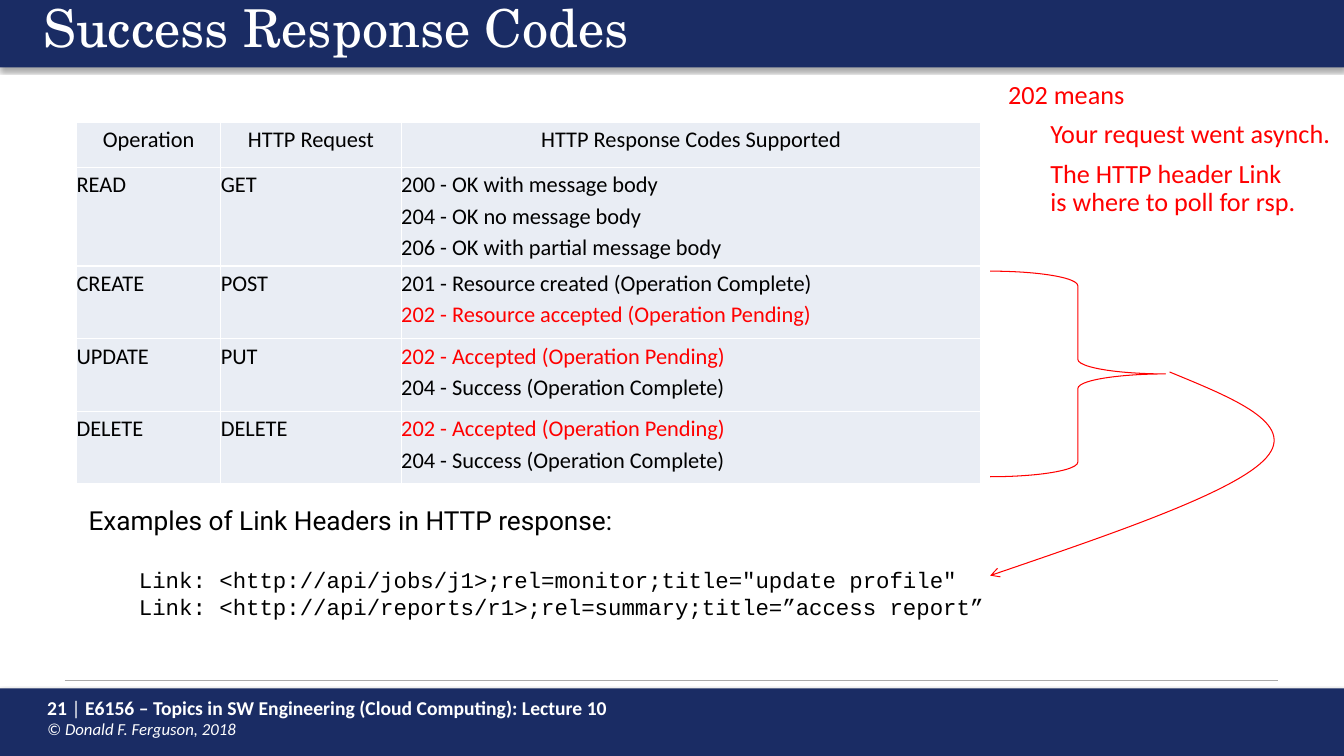
from lxml import etree
from pptx import Presentation
from pptx.dml.color import RGBColor
from pptx.enum.shapes import MSO_CONNECTOR as Connector, MSO_SHAPE as Shape
from pptx.enum.text import MSO_ANCHOR as Anchor, PP_ALIGN as Align
from pptx.oxml.ns import qn
from pptx.util import Inches, Pt

NAVY = RGBColor(0x1A, 0x2C, 0x64)
WHITE = RGBColor(0xFF, 0xFF, 0xFF)
BLACK = RGBColor(0, 0, 0)
RED = RGBColor(0xFF, 0, 0)
GREY = RGBColor(0xAA, 0xAA, 0xAA)
CELL_FILL = RGBColor(0xE9, 0xED, 0xF4)

COLUMN_WIDTHS = [1.43, 1.79, 5.75]
ROW_HEIGHTS = [0.45, 0.98, 0.72, 0.72, 0.72]
HEADINGS = ["Operation", "HTTP Request", "HTTP Response Codes Supported"]
OPERATIONS = [
    ("READ", "GET", ["200 - OK with message body", "204 - OK no message body",
                     "206 - OK with partial message body"]),
    ("CREATE", "POST", ["201 - Resource created (Operation Complete)",
                        "202 - Resource accepted (Operation Pending)"]),
    ("UPDATE", "PUT", ["202 - Accepted (Operation Pending)",
                       "204 - Success (Operation Complete)"]),
    ("DELETE", "DELETE", ["202 - Accepted (Operation Pending)",
                          "204 - Success (Operation Complete)"]),
]


def add_span(para, text, font="Calibri", size=16, color=BLACK, bold=False, italic=False):
    """Add text to a paragraph, with line breaks at newlines."""
    for index, line in enumerate(text.split("\n")):
        if index:
            para.add_line_break()
        if line:
            span = para.add_run()
            span.text = line
            span.font.name = font
            span.font.size = Pt(size)
            span.font.color.rgb = color
            span.font.bold = bold
            span.font.italic = italic


def add_para(frame, text="", first=False, align=Align.LEFT, spacing=1.0,
             before=0, indent=0, **style):
    para = frame.paragraphs[0] if first else frame.add_paragraph()
    para.alignment = align
    para.line_spacing = spacing
    para.space_before = Pt(before)
    if indent:
        para._p.get_or_add_pPr().set("marL", str(Inches(indent)))
    add_span(para, text, **style)
    return para


def add_text_box(page, left, top, width, height):
    box = page.shapes.add_textbox(Inches(left), Inches(top), Inches(width), Inches(height))
    frame = box.text_frame
    frame.word_wrap = True
    frame.vertical_anchor = Anchor.TOP
    return frame


def add_band(page, top):
    """Full-width bar with a soft shadow below it."""
    band = page.shapes.add_shape(Shape.RECTANGLE, 0, Inches(top), Inches(13.33), Inches(0.67))
    band.fill.solid()
    band.fill.fore_color.rgb = NAVY
    band.line.fill.background()
    band.shadow.inherit = False
    effects = band._element.spPr.find(qn("a:effectLst"))
    shadow = etree.SubElement(effects, qn("a:outerShdw"), blurRad=str(Pt(3.1)),
                              dist=str(Pt(1.8)), dir="5400000", rotWithShape="0")
    color = etree.SubElement(shadow, qn("a:srgbClr"), val="000000")
    etree.SubElement(color, qn("a:alpha"), val="35000")


def add_rule(page):
    rule = page.shapes.add_connector(Connector.STRAIGHT, Inches(0.64), Inches(6.75),
                                     Inches(12.68), Inches(6.75))
    rule.line.color.rgb = GREY
    rule.line.width = Pt(0.75)
    etree.SubElement(rule._element.spPr, qn("a:effectLst"))


def draw_red_outline(shape):
    shape.fill.background()
    shape.line.color.rgb = RED
    shape.line.width = Pt(0.75)
    shape.shadow.inherit = False


def add_curved_arrow(page, start, *points):
    """Draw Bezier curves; each three points are two controls and an end."""
    builder = page.shapes.build_freeform(Inches(start[0]), Inches(start[1]))
    builder.add_line_segments([(Inches(x), Inches(y)) for x, y in points], close=False)
    arrow = builder.convert_to_shape()
    draw_red_outline(arrow)
    outline = arrow._element.spPr.find(".//" + qn("a:path"))
    segments = outline.findall(qn("a:lnTo"))
    for index in range(0, len(segments), 3):
        curve = etree.SubElement(outline, qn("a:cubicBezTo"))
        for segment in segments[index:index + 3]:
            curve.append(segment[0])
            outline.remove(segment)
    # The curve is narrower than its control points
    arrow.width = Inches(2.82)
    outline.set("w", str(arrow.width))
    etree.SubElement(arrow.line._get_or_add_ln(), qn("a:tailEnd"), type="arrow")


def set_borders(cell):
    properties = cell._tc.get_or_add_tcPr()
    for side in ("lnL", "lnR", "lnT", "lnB"):
        border = etree.SubElement(properties, qn("a:" + side), w=str(Pt(1)))
        fill = etree.SubElement(border, qn("a:solidFill"))
        etree.SubElement(fill, qn("a:srgbClr"), val=str(WHITE))


def fill_cell(cell, lines, align=Align.LEFT):
    set_borders(cell)
    cell.fill.solid()
    cell.fill.fore_color.rgb = CELL_FILL
    cell.margin_left = cell.margin_right = cell.margin_top = cell.margin_bottom = 0
    for index, line in enumerate(lines):
        add_para(cell.text_frame, line, first=index == 0, align=align, spacing=1.15,
                 color=RED if line.startswith("202") else BLACK)


def add_code_table(page):
    frame = page.shapes.add_table(len(ROW_HEIGHTS), len(COLUMN_WIDTHS), Inches(0.76),
                                  Inches(1.21), Inches(sum(COLUMN_WIDTHS)),
                                  Inches(sum(ROW_HEIGHTS)))
    table = frame.table
    for column, width in zip(table.columns, COLUMN_WIDTHS):
        column.width = Inches(width)
    for row, height in zip(table.rows, ROW_HEIGHTS):
        row.height = Inches(height)
    for column, heading in enumerate(HEADINGS):
        fill_cell(table.cell(0, column), [heading], Align.CENTER)
    for row, (operation, request, codes) in enumerate(OPERATIONS, start=1):
        for column, lines in enumerate([[operation], [request], codes]):
            fill_cell(table.cell(row, column), lines)


def main():
    deck = Presentation()
    deck.slide_width = Inches(13.33)
    deck.slide_height = Inches(7.5)
    page = deck.slides.add_slide(deck.slide_layouts[6])

    # Footer and header
    add_band(page, 6.83)
    footer = add_text_box(page, 0.37, 6.85, 9.89, 0.54)
    para = add_para(footer, "21 ", first=True, size=14, color=WHITE, bold=True)
    add_span(para, "|", size=14, color=WHITE)
    add_span(para, " E6156 – Topics in SW Engineering (Cloud Computing): Lecture 10\n",
             size=14, color=WHITE, bold=True)
    add_span(para, "© Donald F. Ferguson, 2018", size=12, color=WHITE, italic=True)
    add_band(page, 0)
    add_rule(page)
    title = add_text_box(page, 0.33, -0.03, 12.07, 0.57)
    add_para(title, "Success Response Codes", first=True, spacing=0.9,
             font="TeX Gyre Schola", size=37.3, color=WHITE)

    add_code_table(page)

    # Link header examples
    examples = add_text_box(page, 0.78, 4.95, 9.89, 1.27)
    add_para(examples, "Examples of Link Headers in HTTP response:", first=True,
             font="Roboto", size=18.7)
    add_para(examples, 'Link: <http://api/jobs/j1>;rel=monitor;title="update profile"',
             before=22, indent=0.5, font="Courier New")
    add_para(examples, "Link: <http://api/reports/r1>;rel=summary;title=”access report”",
             indent=0.5, font="Courier New")

    # Brace around the pending codes, and arrow to the examples
    brace = page.shapes.add_shape(Shape.RIGHT_BRACE, Inches(9.82), Inches(2.69),
                                  Inches(1.74), Inches(2.04))
    draw_red_outline(brace)
    add_curved_arrow(page, (11.6, 3.69), (12.23, 3.95), (12.86, 4.2), (12.56, 4.54),
                     (12.27, 4.87), (11.05, 5.29), (9.82, 5.71))

    # Meaning of 202
    meaning = add_text_box(page, 9.9, 0.76, 3.43, 1.33)
    note = {"spacing": 0.9, "size": 18.7, "color": RED}
    add_para(meaning, "202 means", first=True, **note)
    for text in ("Your request went asynch.", "The HTTP header Link\nis where to poll for rsp."):
        add_para(meaning, text, before=8, indent=0.42, **note)

    deck.save("out.pptx")


if __name__ == "__main__":
    main()
